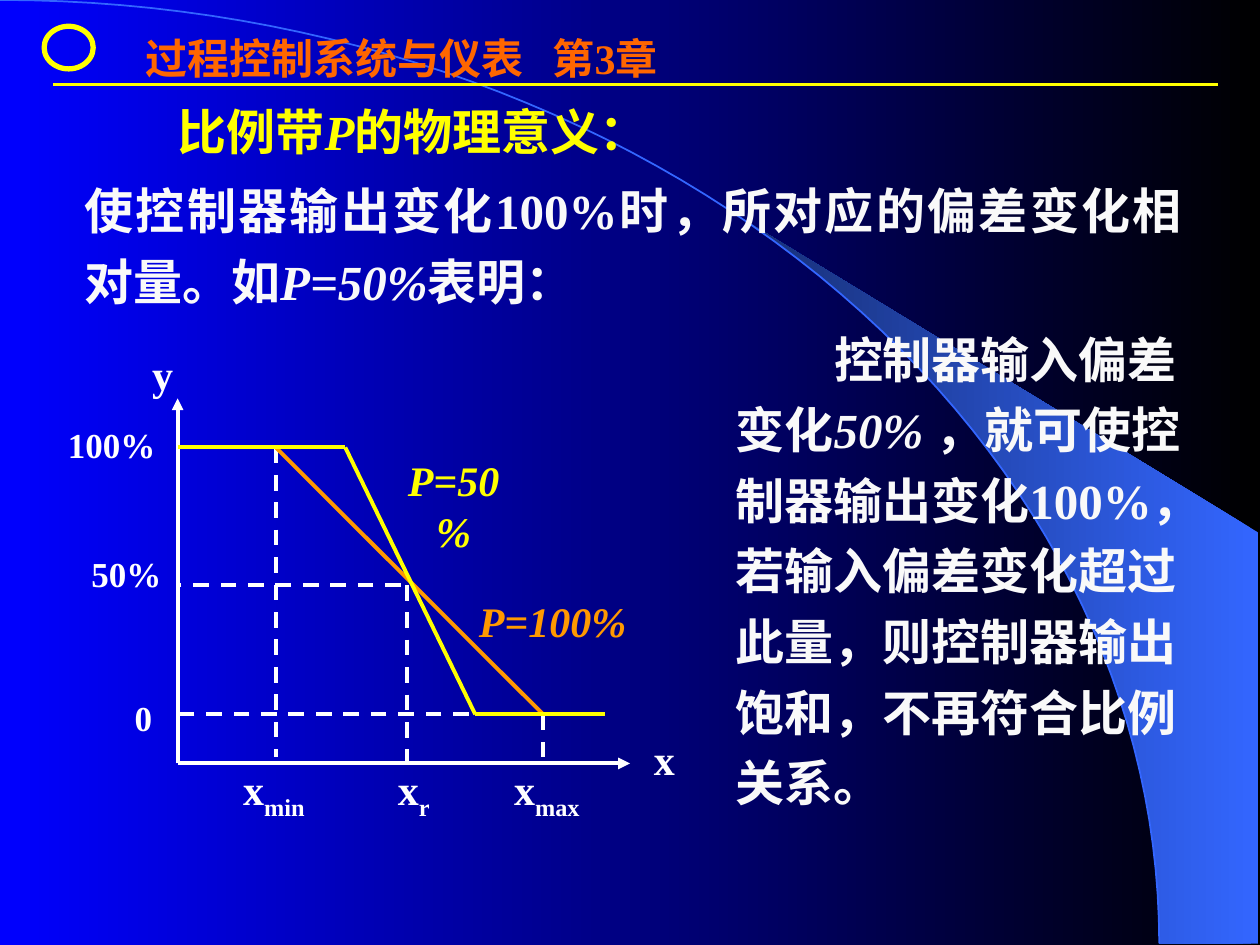
from math import cos, radians, sin

from lxml.etree import SubElement
from pptx import Presentation
from pptx.dml.color import RGBColor
from pptx.enum.dml import MSO_LINE
from pptx.enum.shapes import MSO_CONNECTOR, MSO_SHAPE
from pptx.enum.text import MSO_ANCHOR, MSO_AUTO_SIZE, PP_ALIGN
from pptx.oxml.ns import qn
from pptx.util import Cm, Pt

FONT = "Times New Roman"
BLACK = RGBColor(0x00, 0x00, 0x00)
BLUE = RGBColor(0x00, 0x00, 0xFF)
SKY = RGBColor(0x33, 0x66, 0xFF)
NAVY = RGBColor(0x17, 0x2F, 0x75)
WHITE = RGBColor(0xFF, 0xFF, 0xFF)
SOFT_WHITE = RGBColor(0xF9, 0xF9, 0xF9)
YELLOW = RGBColor(0xFF, 0xFF, 0x00)
ORANGE = RGBColor(0xFF, 0x99, 0x00)
HEADER = RGBColor(0xFF, 0x66, 0x00)

WIDTH, HEIGHT = 25.4, 19.05
ARC_W, ARC_H = 23.37, 19.02

AXIS_X, X_MIN, X_HALF_TOP, X_R = 3.58, 5.56, 6.96, 8.2
X_HALF_END, X_MAX, X_END, X_TIP = 9.58, 10.95, 12.19, 12.7
Y_TIP, Y_FULL, Y_HALF, Y_ZERO, AXIS_Y = 8.03, 9.02, 11.79, 14.4, 15.39


def set_gradient(fill, start, end):
    fill.gradient()
    fill.gradient_angle = 180
    for stop, color in zip(fill.gradient_stops, (start, end)):
        stop.color.rgb = color


def arc_points(start):
    angles = [radians(start + (90 - start) * i / 60) for i in range(61)]
    return [(Cm(ARC_W * sin(a)), Cm(ARC_H * (1 - cos(a)))) for a in angles]


def add_outline(shapes, points, close):
    builder = shapes.build_freeform(*points[0])
    builder.add_line_segments(points[1:], close=close)
    sp = builder.convert_to_shape()
    sp.shadow.inherit = False
    return sp


def add_line(shapes, start, end, color, width=2.25, dash=False, arrow=False):
    line = shapes.add_connector(MSO_CONNECTOR.STRAIGHT, *map(Cm, start + end))
    line.line.color.rgb = color
    line.line.width = Pt(width)
    if dash:
        line.line.dash_style = MSO_LINE.DASH
    if arrow:
        SubElement(line.line._get_or_add_ln(), qn("a:tailEnd"), type="triangle")
    SubElement(line.element.spPr, qn("a:effectLst"))


def add_run(p, text, size, color, italic=False, subscript=False):
    r = p.add_run()
    r.text = text
    r.font.name = FONT
    r.font.size = Pt(size)
    r.font.bold = True
    r.font.italic = italic
    r.font.color.rgb = color
    if subscript:
        r._r.get_or_add_rPr().set("baseline", "-25000")


def add_label(shapes, box, text, size, color, italic=False, sub=None,
              align=PP_ALIGN.CENTER, tab=None):
    tf = shapes.add_textbox(*map(Cm, box)).text_frame
    tf.word_wrap = False
    p = tf.paragraphs[0]
    if tab:
        tabs = SubElement(p._p.get_or_add_pPr(), qn("a:tabLst"))
        SubElement(tabs, qn("a:tab"), pos=str(Cm(tab)), algn="l")
    p.alignment = align
    add_run(p, text, size, color, italic)
    if sub:
        add_run(p, sub, size, color, subscript=True)


def fill_placeholder(s, sp, box, runs, color, align=PP_ALIGN.LEFT,
                     spacing=1.0, indent=0):
    s.shapes.element.append(sp.element)
    sp.left, sp.top, sp.width, sp.height = map(Cm, box)
    tf = sp.text_frame
    tf.word_wrap = True
    tf.auto_size = MSO_AUTO_SIZE.NONE
    tf.vertical_anchor = MSO_ANCHOR.TOP
    p = tf.paragraphs[0]
    pPr = p._p.get_or_add_pPr()
    pPr.set("marL", "0")
    pPr.set("indent", str(Cm(indent)))
    SubElement(pPr, qn("a:buNone"))
    p.alignment = align
    p.line_spacing = spacing
    p.space_before = Pt(0)
    for text, italic in runs:
        add_run(p, text, 28, color, italic)


def add_backdrop(s):
    set_gradient(s.background.fill, BLACK, BLUE)
    corners = [(Cm(x), Cm(y)) for x, y in ((ARC_W, ARC_H), (25.37, ARC_H), (25.37, 10.74))]
    crescent = add_outline(s.shapes, corners + arc_points(39.8), True)
    set_gradient(crescent.fill, SKY, NAVY)
    crescent.line.fill.background()
    arc = add_outline(s.shapes, arc_points(0), False)
    arc.fill.background()
    arc.line.color.rgb = SKY
    arc.line.width = Pt(1)


def add_header(s):
    add_line(s.shapes, (1.07, 1.7), (24.56, 1.7), YELLOW, 1.5)
    add_label(s.shapes, (2.69, 0.53, 11.4, 1.27), "过程控制系统与仪表\t第3章", 24,
              HEADER, align=PP_ALIGN.LEFT, tab=8.2)
    ring = s.shapes.add_shape(MSO_SHAPE.OVAL, Cm(0.89), Cm(0.53), Cm(0.99), Cm(0.86))
    ring.shadow.inherit = False
    ring.fill.background()
    ring.line.color.rgb = YELLOW
    ring.line.width = Pt(3)


def add_graph(s):
    shapes = s.shapes.add_group_shape().shapes
    origin = (AXIS_X, AXIS_Y)
    for tip in ((X_TIP, AXIS_Y), (AXIS_X, Y_TIP)):
        add_line(shapes, origin, tip, WHITE, arrow=True)

    guides = [
        ((X_MIN, Y_FULL), (X_MIN, 15.27)),
        ((X_R, Y_HALF), (X_R, AXIS_Y)),
        ((X_R - 0.12, Y_HALF), (AXIS_X, Y_HALF)),
        ((9.45, Y_ZERO), (AXIS_X, Y_ZERO)),
        ((X_MAX, Y_ZERO), (X_MAX, AXIS_Y)),
    ]
    for start, end in guides:
        add_line(shapes, start, end, WHITE, dash=True)

    add_line(shapes, (X_MIN, Y_FULL), (X_MAX, Y_ZERO), ORANGE)
    half_band = [(AXIS_X, Y_FULL), (X_HALF_TOP, Y_FULL),
                 (X_HALF_END, Y_ZERO), (X_END, Y_ZERO)]
    for start, end in zip(half_band, half_band[1:]):
        add_line(shapes, start, end, YELLOW)

    add_label(shapes, (2.82, 6.91, 0.91, 1.27), "y", 24, WHITE)
    add_label(shapes, (12.93, 14.66, 0.91, 1.27), "x", 24, WHITE)
    for left, width, sub in ((4.65, 1.75, "min"), (7.77, 1.14, "r"), (10.11, 1.83, "max")):
        add_label(shapes, (left, 15.27, width, 1.42), "x", 24, WHITE, sub=sub)
    for left, top, width, text in ((0.94, 8.41, 2.62, "100%"),
                                   (1.24, 11.02, 2.62, "50%"),
                                   (2.46, 13.92, 0.86, "0")):
        add_label(shapes, (left, top, width, 1.12), text, 20, WHITE)
    add_label(shapes, (7.62, 9.04, 3.05, 1.27), "P=50%", 24, YELLOW, italic=True)
    add_label(shapes, (9.4, 11.89, 3.48, 1.27), "P=100%", 24, ORANGE, italic=True)


def add_texts(s):
    title, definition, meaning = s.placeholders
    fill_placeholder(s, title, (3.33, 1.91, 11.89, 1.45),
                     [("比例带", False), ("P", True), ("的物理意义：", False)], YELLOW)
    fill_placeholder(s, definition, (1.45, 3.28, 22.63, 3.1),
                     [("使控制器输出变化100%时，所对应的偏差变化相对量。如", False),
                      ("P=50%", True), ("表明：", False)],
                     SOFT_WHITE, PP_ALIGN.JUSTIFY, 1.2)
    fill_placeholder(s, meaning, (14.58, 6.27, 10.13, 10.21),
                     [("控制器输入偏差变化", False), ("50% ", True),
                      ("，就可使控制器输出变化100%，若输入偏差变化超过此量，"
                       "则控制器输出饱和，不再符合比例关系。", False)],
                     SOFT_WHITE, spacing=1.2, indent=1.98)


def main():
    prs = Presentation()
    prs.slide_width, prs.slide_height = Cm(WIDTH), Cm(HEIGHT)
    s = prs.slides.add_slide(prs.slide_layouts[3])
    add_backdrop(s)
    add_header(s)
    add_texts(s)
    add_graph(s)
    prs.save("out.pptx")


if __name__ == "__main__":
    main()
